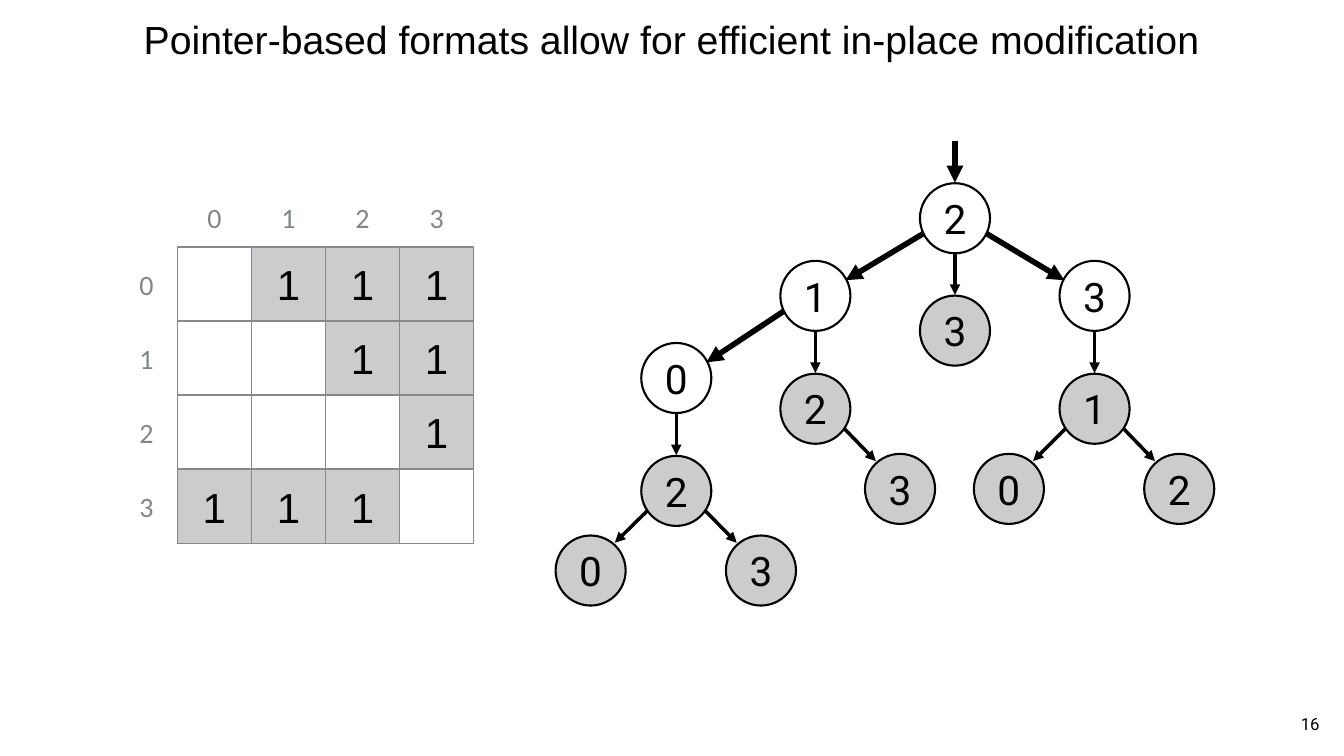
import pptx
import pptx.dml.color
import pptx.enum.shapes
import pptx.enum.text
import pptx.oxml
import pptx.oxml.ns
import pptx.util
from dataclasses import dataclass
from pptx.util import Inches


@dataclass(frozen=True)
class Theme:
    black: str = "000000"
    white: str = "FFFFFF"
    marked: str = "CCCCCC"
    grid: str = "85888D"
    label: str = "808785"
    title_font: str = "Arial"
    node_font: str = "Roboto"
    label_font: str = "Calibri"
    title_size: int = 56
    node_size: int = 58
    cell_size: int = 60
    label_size: int = 40
    number_size: int = 24


def color(value):
    return pptx.dml.color.RGBColor.from_string(value)


class SlideBuilder:
    def __init__(self, slide, theme):
        self.slide = slide
        self.theme = theme

    def fill_text(self, shape, text, font, size, ink, inset=0.06):
        frame = shape.text_frame
        frame.margin_left = frame.margin_right = Inches(inset)
        frame.margin_top = frame.margin_bottom = Inches(inset)
        frame.vertical_anchor = pptx.enum.text.MSO_ANCHOR.MIDDLE
        paragraph = frame.paragraphs[0]
        paragraph.alignment = pptx.enum.text.PP_ALIGN.CENTER
        run = paragraph.add_run()
        run.text = text
        run.font.name = font
        run.font.size = pptx.util.Pt(size)
        run.font.color.rgb = color(ink)
        return run

    def text_box(self, left, top, width, height, text, font, size, ink, inset=0.06, wrap=True):
        box = self.slide.shapes.add_textbox(Inches(left), Inches(top), Inches(width), Inches(height))
        box.text_frame.word_wrap = wrap
        return self.fill_text(box, text, font, size, ink, inset)

    def title(self, text):
        theme = self.theme
        run = self.text_box(0.28, 0.28, 26.11, 1, text, theme.title_font, theme.title_size, theme.black, 0)
        # Soft shadow behind the letters
        shadow = pptx.oxml.parse_xml(
            f'<a:effectLst {pptx.oxml.ns.nsdecls("a")}><a:outerShdw blurRad="50800" dist="50800" '
            'dir="2700000"><a:srgbClr val="000000"><a:alpha val="40000"/></a:srgbClr>'
            '</a:outerShdw></a:effectLst>')
        run._r.rPr.find(pptx.oxml.ns.qn("a:solidFill")).addnext(shadow)

    def shape(self, kind, left, top, size, fill, line, line_width):
        shape = self.slide.shapes.add_shape(kind, Inches(left), Inches(top), Inches(size), Inches(size))
        shape.shadow.inherit = False
        shape.fill.solid()
        shape.fill.fore_color.rgb = color(fill)
        shape.line.color.rgb = color(line)
        shape.line.width = pptx.util.Pt(line_width)
        return shape

    def cell(self, left, top, size, text):
        theme = self.theme
        fill = theme.marked if text else theme.white
        shape = self.shape(pptx.enum.shapes.MSO_SHAPE.RECTANGLE, left, top, size, fill, theme.grid, 2)
        if text:
            self.fill_text(shape, text, theme.title_font, theme.cell_size, theme.black)

    def node(self, center_x, center_y, diameter, text, fill):
        theme = self.theme
        shape = self.shape(pptx.enum.shapes.MSO_SHAPE.OVAL, center_x - diameter / 2,
                           center_y - diameter / 2, diameter, fill, theme.black, 3)
        self.fill_text(shape, text, theme.node_font, theme.node_size, theme.black)

    def index_label(self, left, top, text):
        theme = self.theme
        self.text_box(left, top, 0.57, 0.75, text, theme.label_font, theme.label_size, theme.label)

    def arrow(self, start_x, start_y, end_x, end_y, width):
        connector = self.slide.shapes.add_connector(
            pptx.enum.shapes.MSO_CONNECTOR.STRAIGHT,
            Inches(start_x), Inches(start_y), Inches(end_x), Inches(end_y))
        connector.line.color.rgb = color(self.theme.black)
        connector.line.width = pptx.util.Pt(width)
        namespace = pptx.oxml.ns.nsdecls("a")
        connector.line._get_or_add_ln().append(
            pptx.oxml.parse_xml(f'<a:tailEnd {namespace} type="triangle"/>'))
        connector._element.spPr.append(pptx.oxml.parse_xml(f"<a:effectLst {namespace}/>"))


def draw_matrix(builder):
    left, top, size = 3.52, 4.9, 1.47
    rows = [" 111", "  11", "   1", "111 "]
    for row, values in enumerate(rows):
        for column, value in enumerate(values):
            builder.cell(left + column * size, top + row * size, size, value.strip())
    for position in range(4):
        builder.index_label(left + 0.45 + position * size, 3.93, str(position))
        builder.index_label(2.62, top + 0.36 + position * size, str(position))


def draw_tree(builder):
    theme = builder.theme
    diameter = 1.39
    # Name: centre x, centre y, value, fill
    nodes = {
        "root": (18.95, 4.33, "2", theme.white),
        "left": (16.18, 5.87, "1", theme.white),
        "right": (21.72, 5.87, "3", theme.white),
        "far left": (13.42, 7.5, "0", theme.white),
        "root row": (18.95, 6.56, "3", theme.marked),
        "left row": (16.18, 8.11, "2", theme.marked),
        "left row high": (17.86, 9.7, "3", theme.marked),
        "right row": (21.72, 8.11, "1", theme.marked),
        "right row low": (20.02, 9.7, "0", theme.marked),
        "right row high": (23.4, 9.7, "2", theme.marked),
        "far row": (13.42, 9.74, "2", theme.marked),
        "far row low": (11.72, 11.32, "0", theme.marked),
        "far row high": (15.1, 11.32, "3", theme.marked),
    }
    edges = [
        ("root", "left"), ("root", "right"), ("left", "far left"),
        ("root", "root row"), ("left", "left row"), ("right", "right row"), ("far left", "far row"),
        ("left row", "left row high"), ("right row", "right row low"),
        ("right row", "right row high"), ("far row", "far row low"), ("far row", "far row high"),
    ]

    # Arrows; those between index nodes are heavy
    builder.arrow(18.95, 2.79, 18.95, 3.62, 8)
    for parent, child in edges:
        parent_x, parent_y = nodes[parent][:2]
        child_x, child_y, _, fill = nodes[child]
        side = (child_x > parent_x) - (child_x < parent_x)
        heavy = fill == theme.white
        if side == 0:
            out_x, out_y, in_x, in_y = 0, 0.7, 0, 0.71
        elif heavy:
            out_x, out_y, in_x, in_y = 0.62, 0.3, 0.6, 0.31
        else:
            out_x, out_y, in_x, in_y = 0.58, 0.4, 0.48, 0.55
        builder.arrow(parent_x + side * out_x, parent_y + out_y,
                      child_x - side * in_x, child_y - in_y, 8 if heavy else 5)

    # Nodes
    for center_x, center_y, value, fill in nodes.values():
        builder.node(center_x, center_y, diameter, value, fill)


def main():
    presentation = pptx.Presentation()
    presentation.slide_width = Inches(26.67)
    presentation.slide_height = Inches(15)
    theme = Theme()
    builder = SlideBuilder(presentation.slides.add_slide(presentation.slide_layouts[6]), theme)

    # Title and slide number
    builder.title("Pointer-based formats allow for efficient in-place modification")
    builder.text_box(25.75, 14.1, 0.5, 0.51, "16", theme.node_font, theme.number_size, theme.black, wrap=False)

    draw_tree(builder)
    draw_matrix(builder)
    presentation.save("out.pptx")


if __name__ == "__main__":
    main()
